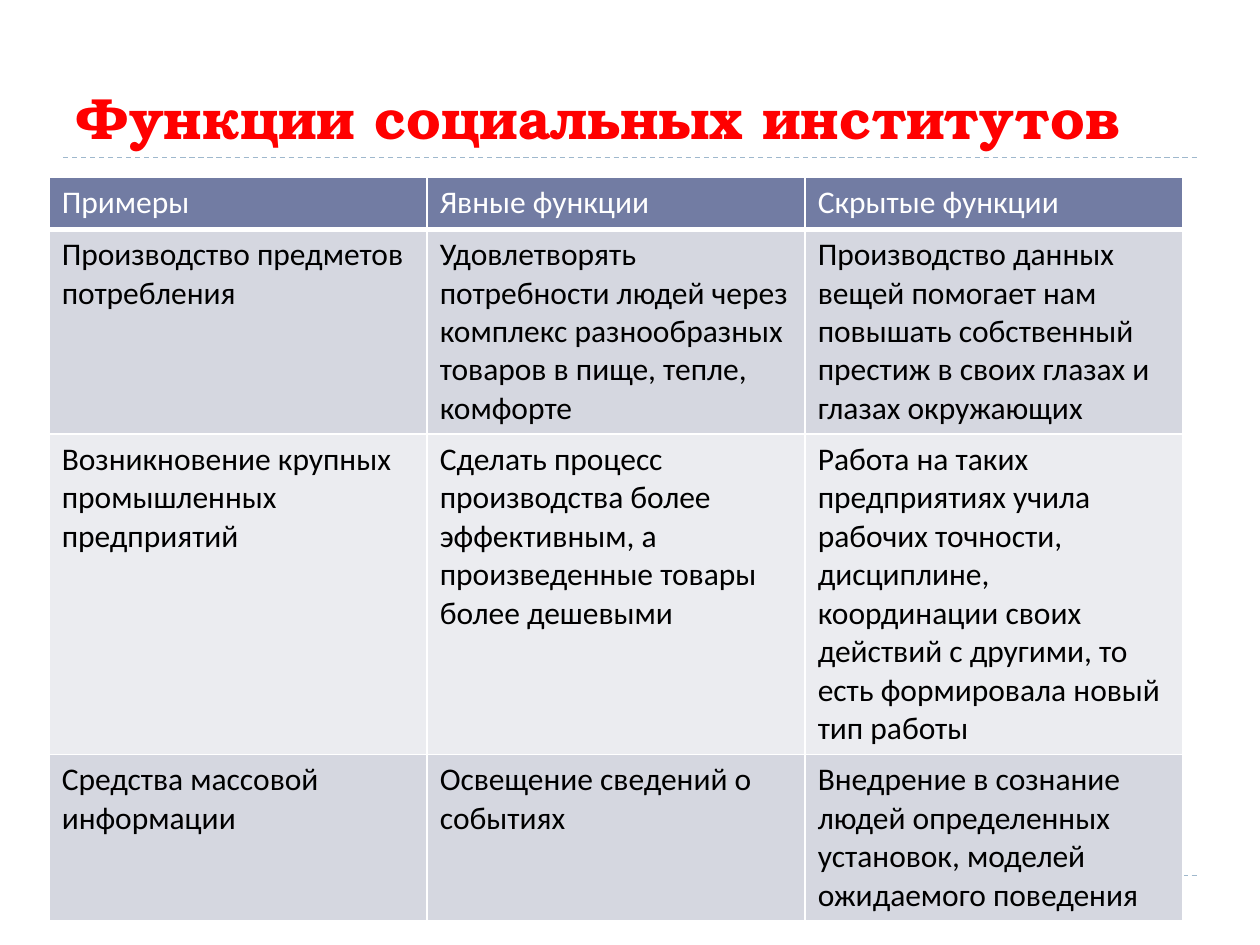
import pptx
import pptx.dml.color
import pptx.enum.dml
import pptx.enum.shapes
import pptx.enum.text
import pptx.oxml.ns
import pptx.util
from lxml import etree

Inches, Pt = pptx.util.Inches, pptx.util.Pt
RGBColor = pptx.dml.color.RGBColor

WHITE = RGBColor(0xFF, 0xFF, 0xFF)
BLACK = RGBColor(0, 0, 0)
RED = RGBColor(0xFF, 0, 0)
RULE_BLUE = RGBColor(0x9F, 0xB8, 0xCD)
HEADER_FILL = RGBColor(0x72, 0x7C, 0xA3)
BAND_FILLS = [RGBColor(0xEB, 0xEC, 0xF0), RGBColor(0xD5, 0xD7, 0xE0)]

# Slide grid, in inches
SLIDE_W, SLIDE_H = 10, 7.5
MARGIN = 0.5
CONTENT_W = SLIDE_W - 2 * MARGIN
RULE_TOPS = (6.95, 1.25)
TABLE_LEFT, TABLE_TOP, TABLE_H = 0.39, 1.41, 5.81
ROW_H = 0.41  # minimum height; rows grow with their text

TITLE = "Функции социальных институтов"
FUNCTIONS = [
    ("Примеры", "Явные функции", "Скрытые функции"),
    ("Производство предметов потребления",
     "Удовлетворять потребности людей через комплекс разнообразных товаров "
     "в пище, тепле, комфорте",
     "Производство данных вещей помогает нам повышать собственный престиж "
     "в своих глазах и глазах окружающих"),
    ("Возникновение крупных промышленных предприятий",
     "Сделать процесс производства более эффективным, а произведенные товары "
     "более дешевыми",
     "Работа на таких предприятиях учила рабочих точности, дисциплине, "
     "координации своих действий с другими, то есть формировала новый тип работы"),
    ("Средства массовой информации",
     "Освещение сведений о событиях",
     "Внедрение в сознание людей определенных установок, моделей "
     "ожидаемого поведения"),
]


def format_text(paragraph, font_name, size, color, bold=False):
    font = paragraph.font
    font.name, font.size, font.bold = font_name, Pt(size), bold
    font.color.rgb = color


def add_rule(slide, top):
    rule = slide.shapes.add_connector(
        pptx.enum.shapes.MSO_CONNECTOR.STRAIGHT,
        Inches(MARGIN), Inches(top), Inches(MARGIN + CONTENT_W), Inches(top))
    rule.line.color.rgb = RULE_BLUE
    rule.line.width = Pt(0.75)
    rule.line.dash_style = pptx.enum.dml.MSO_LINE.DASH
    etree.SubElement(rule._element.spPr, pptx.oxml.ns.qn("a:effectLst"))


def place_title(slide):
    title = slide.shapes.title
    title.left, title.top = Inches(MARGIN), Inches(0.17)
    title.width, title.height = Inches(CONTENT_W), Inches(1.08)
    frame = title.text_frame
    frame.text = TITLE
    frame.vertical_anchor = pptx.enum.text.MSO_ANCHOR.BOTTOM
    heading = frame.paragraphs[0]
    heading.alignment = pptx.enum.text.PP_ALIGN.LEFT
    format_text(heading, "TeX Gyre Bonum", 32, RED, bold=True)


def set_borders(cell, bottom):
    qn = pptx.oxml.ns.qn
    properties = cell._tc.get_or_add_tcPr()
    for side, width in (("L", 1), ("R", 1), ("T", 1), ("B", bottom)):
        border = etree.SubElement(properties, qn(f"a:ln{side}"), w=str(Pt(width)))
        fill = etree.SubElement(border, qn("a:solidFill"))
        etree.SubElement(fill, qn("a:srgbClr"), val=str(WHITE))


def fill_cell(cell, text, is_header, fill):
    cell.text = text
    set_borders(cell, bottom=3 if is_header else 1)
    cell.fill.solid()
    cell.fill.fore_color.rgb = fill
    format_text(cell.text_frame.paragraphs[0], "Calibri", 18,
                WHITE if is_header else BLACK)


def add_functions_table(slide):
    frame = slide.shapes.add_table(
        len(FUNCTIONS), len(FUNCTIONS[0]), Inches(TABLE_LEFT), Inches(TABLE_TOP),
        Inches(CONTENT_W), Inches(TABLE_H))
    table = frame.table
    for row in table.rows:
        row.height = Inches(ROW_H)
    frame.height = Inches(TABLE_H)
    for r, texts in enumerate(FUNCTIONS):
        fill = BAND_FILLS[r % 2] if r else HEADER_FILL
        for c, text in enumerate(texts):
            fill_cell(table.cell(r, c), text, r == 0, fill)


def main():
    deck = pptx.Presentation()
    deck.slide_width, deck.slide_height = Inches(SLIDE_W), Inches(SLIDE_H)
    slide = deck.slides.add_slide(deck.slide_layouts.get_by_name("Title Only"))

    # Dashed rules lie behind the table
    for top in RULE_TOPS:
        add_rule(slide, top)
    place_title(slide)
    add_functions_table(slide)
    deck.save("out.pptx")


if __name__ == "__main__":
    main()
